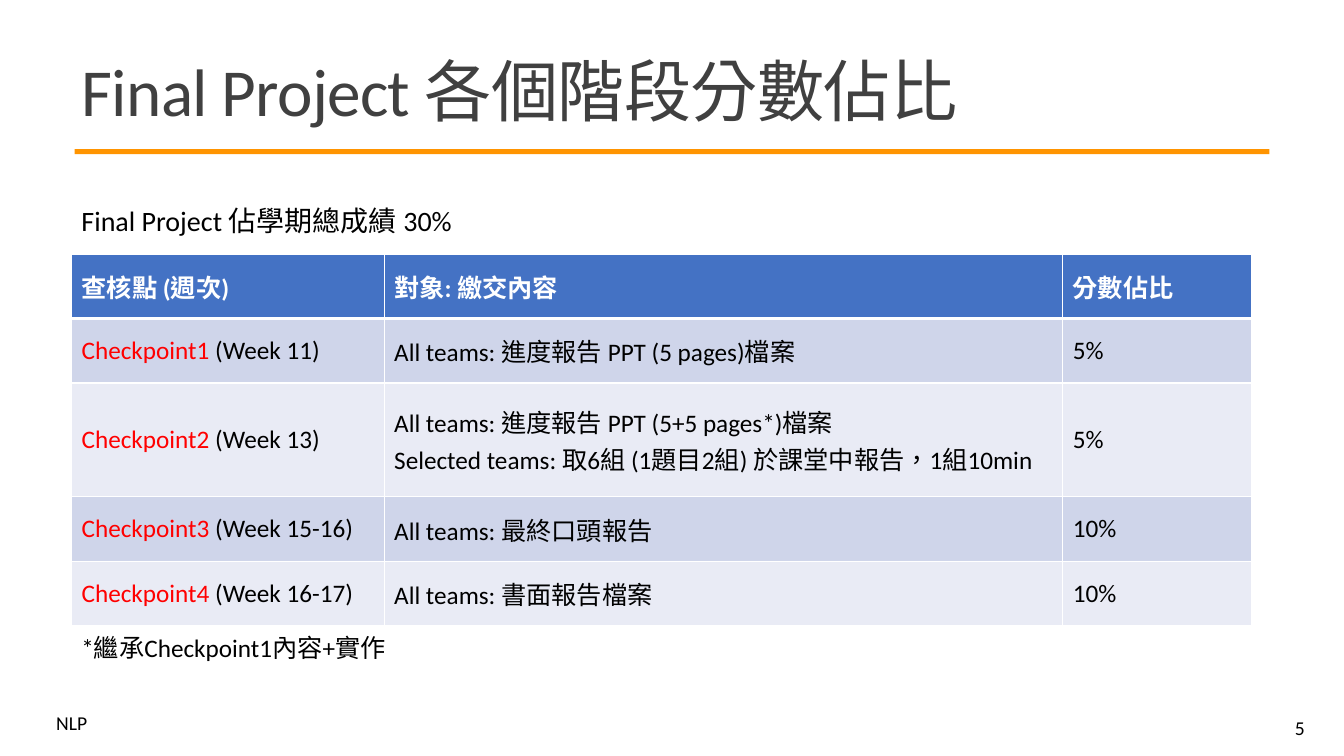
from lxml.etree import SubElement
from pptx import Presentation
from pptx.dml.color import RGBColor
from pptx.enum.shapes import MSO_SHAPE
from pptx.enum.text import MSO_ANCHOR, MSO_AUTO_SIZE, PP_ALIGN
from pptx.oxml.ns import qn
from pptx.util import Inches, Pt

ORANGE = RGBColor(0xFF, 0x94, 0x00)
GRAY = RGBColor(0x40, 0x40, 0x40)
BLACK = RGBColor(0x00, 0x00, 0x00)
WHITE = RGBColor(0xFF, 0xFF, 0xFF)
RED = RGBColor(0xFF, 0x00, 0x00)
HEADER_BLUE = RGBColor(0x44, 0x72, 0xC4)
BANDS = (RGBColor(0xCF, 0xD5, 0xEA), RGBColor(0xE9, 0xEB, 0xF5))
LATIN_FONT = "Calibri"
CHINESE_FONT = "Noto Sans CJK TC"

COLUMN_WIDTHS = (3.1, 6.73, 1.87)
ROW_HEIGHTS = (0.64, 0.64, 1.13, 0.64, 0.64)
HEADINGS = ("查核點 (週次)", "對象: 繳交內容", "分數佔比")
CHECKPOINTS = (
    ("(Week 11)", ("All teams: 進度報告 PPT (5 pages)檔案",), "5%"),
    ("(Week 13)", ("All teams: 進度報告 PPT (5+5 pages*)檔案",
                   "Selected teams: 取6組 (1題目2組) 於課堂中報告，1組10min"), "5%"),
    ("(Week 15-16)", ("All teams: 最終口頭報告",), "10%"),
    ("(Week 16-17)", ("All teams: 書面報告檔案",), "10%"),
)


def add_span(para, text, size=18, color=BLACK, bold=False, font=LATIN_FONT, spacing=None):
    """Append a formatted run of text to a paragraph."""
    span = para.add_run()
    span.text = text
    span.font.name = font
    span.font.size = Pt(size)
    span.font.bold = bold
    span.font.color.rgb = color
    properties = span.font._element
    properties.set("lang", "zh-TW")
    SubElement(properties, qn("a:ea")).set("typeface", CHINESE_FONT)
    if spacing is not None:
        properties.set("spc", str(int(spacing * 100)))


def add_label(page, box, text, size=18, align=PP_ALIGN.LEFT, anchor=MSO_ANCHOR.TOP,
              line_spacing=None):
    """Place a one-paragraph text box in the given box."""
    frame = page.shapes.add_textbox(*map(Inches, box)).text_frame
    frame.word_wrap = True
    frame.vertical_anchor = anchor
    para = frame.paragraphs[0]
    para.alignment = align
    para.line_spacing = line_spacing
    add_span(para, text, size=size)


def add_heading(page, box):
    """Fill the title placeholder and draw the rule beneath it."""
    left, top, width, height = box
    title = page.shapes.title
    title.left, title.top, title.width, title.height = map(Inches, box)
    frame = title.text_frame
    frame.auto_size = MSO_AUTO_SIZE.NONE
    frame.vertical_anchor = MSO_ANCHOR.MIDDLE
    para = frame.paragraphs[0]
    para.alignment = PP_ALIGN.LEFT
    para.line_spacing = 0.85
    for text, font in (("Final Project ", LATIN_FONT), ("各個階段分數佔比", CHINESE_FONT)):
        add_span(para, text, size=48, color=GRAY, font=font, spacing=-0.5)
    rule = page.shapes.add_shape(
        MSO_SHAPE.RECTANGLE, Inches(left + 0.03), Inches(top + height - 0.04),
        Inches(width - 0.09), Inches(0.05))
    rule.shadow.inherit = False
    rule.fill.solid()
    rule.fill.fore_color.rgb = ORANGE
    rule.line.fill.background()


def prepare_cell(cell, fill):
    """Fill and centre a cell vertically, and return its first paragraph."""
    cell.fill.solid()
    cell.fill.fore_color.rgb = fill
    cell.vertical_anchor = MSO_ANCHOR.MIDDLE
    return cell.text_frame.paragraphs[0]


def add_bottom_border(cell, color, width):
    """Draw a solid line of the given point width under a cell."""
    properties = cell._tc.get_or_add_tcPr()
    border = SubElement(properties, qn("a:lnB"), w=str(Pt(width)))
    fill = SubElement(border, qn("a:solidFill"))
    SubElement(fill, qn("a:srgbClr"), val=str(color))
    properties.insert(0, border)


def add_score_table(page, box):
    """Build the table of checkpoints and their shares of the score."""
    table = page.shapes.add_table(
        len(ROW_HEIGHTS), len(COLUMN_WIDTHS), *map(Inches, box)).table
    for column, width in zip(table.columns, COLUMN_WIDTHS):
        column.width = Inches(width)
    for row, height in zip(table.rows, ROW_HEIGHTS):
        row.height = Inches(height)
    for cell, heading in zip(table.rows[0].cells, HEADINGS):
        add_span(prepare_cell(cell, HEADER_BLUE), heading, color=WHITE, bold=True)
        add_bottom_border(cell, WHITE, 3)
    for number, (week, tasks, share) in enumerate(CHECKPOINTS, start=1):
        fill = BANDS[(number - 1) % 2]
        name_cell, task_cell, share_cell = table.rows[number].cells
        para = prepare_cell(name_cell, fill)
        add_span(para, f"Checkpoint{number} ", color=RED)
        add_span(para, week)
        para = prepare_cell(task_cell, fill)
        add_span(para, tasks[0])
        for task in tasks[1:]:
            add_span(task_cell.text_frame.add_paragraph(), task)
        add_span(prepare_cell(share_cell, fill), share)


def add_footer(page, box):
    """Place the course name and the page number at the ends of the box."""
    left, top, width, height = box
    add_label(page, (left, top + 0.03, 0.8, 0.29), "NLP", size=14, line_spacing=0.8)
    add_label(page, (left + width - 1.43, top, 1.43, height), "5", size=14,
              align=PP_ALIGN.RIGHT, anchor=MSO_ANCHOR.MIDDLE)


def main():
    """Build the slide and save the deck."""
    deck = Presentation()
    deck.slide_width, deck.slide_height = Inches(13.33), Inches(7.5)
    page = deck.slides.add_slide(deck.slide_layouts[5])
    add_heading(page, (0.71, 0.39, 11.94, 1.13))
    add_label(page, (0.71, 1.97, 6.67, 0.44), "Final Project 佔學期總成績 30%", size=20)
    add_score_table(page, (0.71, 2.52, sum(COLUMN_WIDTHS), sum(ROW_HEIGHTS)))
    add_label(page, (0.71, 6.22, 6.67, 0.4), "*繼承Checkpoint1內容+實作")
    add_footer(page, (0.46, 7.02, 12.58, 0.4))
    deck.save("out.pptx")


if __name__ == "__main__":
    main()
